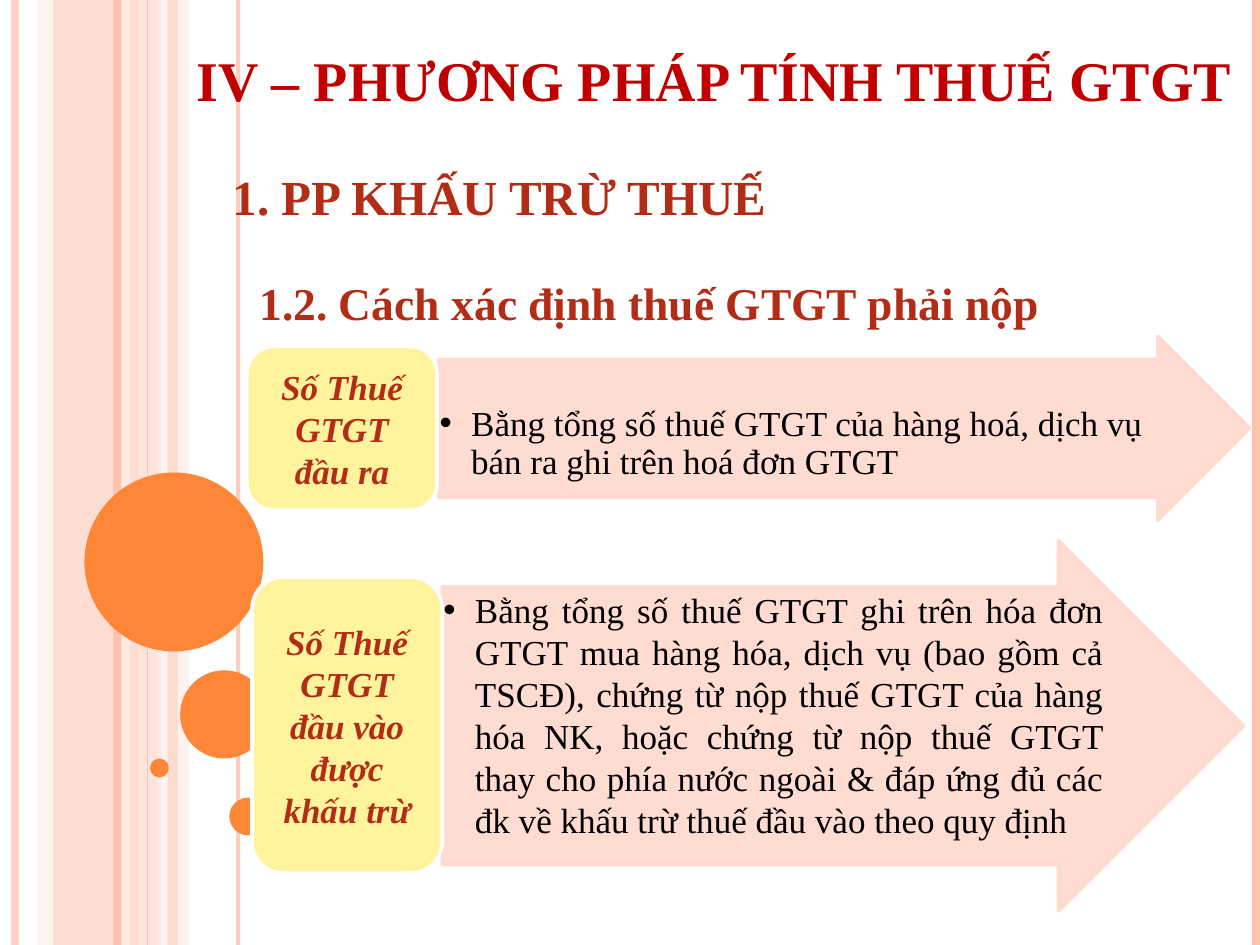
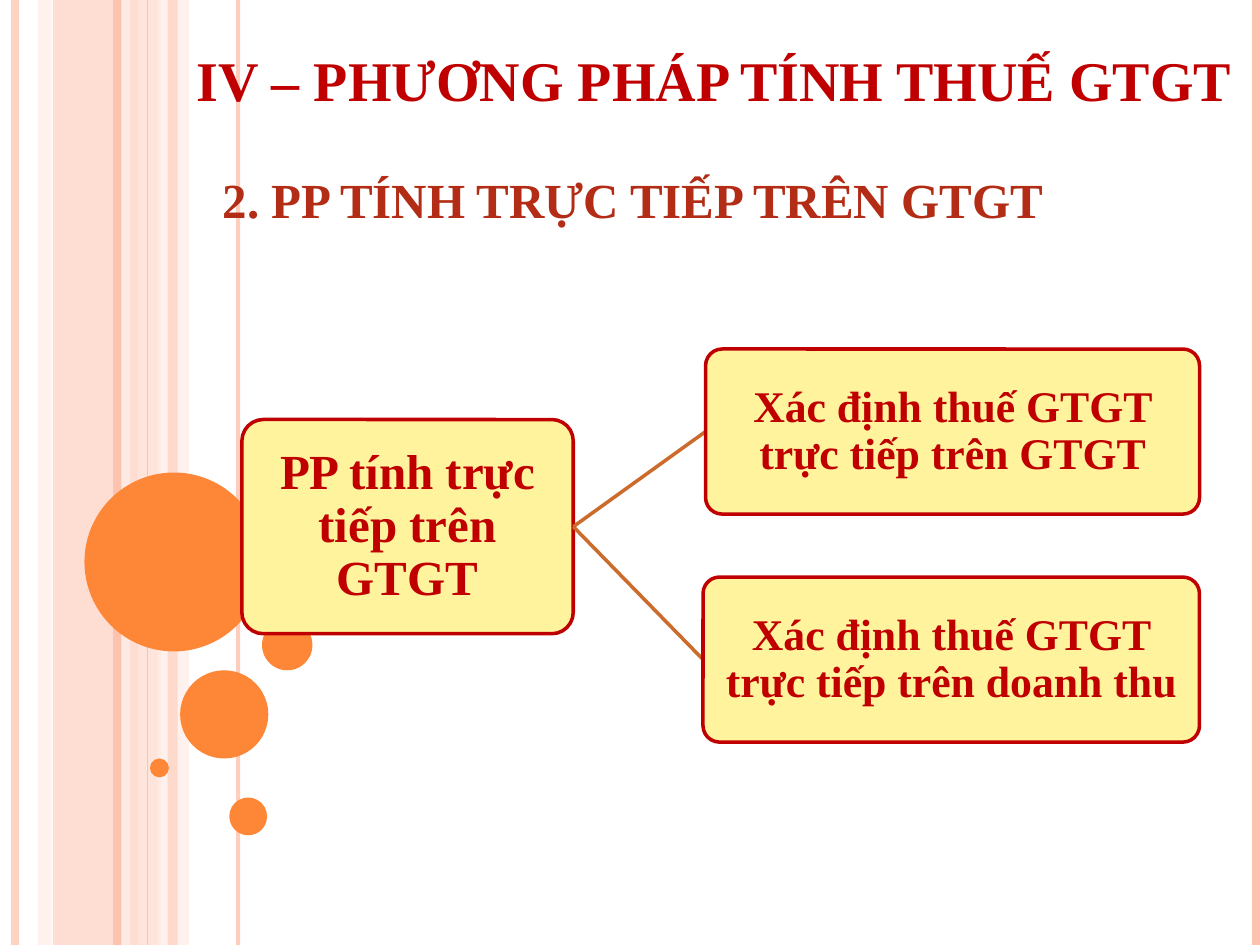
from lxml import etree
from pptx import Presentation
from pptx import util as u
from pptx.dml.color import RGBColor
from pptx.enum import shapes, text
from pptx.oxml.ns import qn

# Shared colours and font
WHITE = RGBColor(0xFF, 0xFF, 0xFF)
BLACK = RGBColor(0, 0, 0)
PEACH = RGBColor(0xFE, 0xC3, 0xAE)
PINK = RGBColor(0xFF, 0xD9, 0xCE)
PALE = RGBColor(0xFF, 0xED, 0xE8)
ORANGE = RGBColor(0xFE, 0x86, 0x37)
YELLOW = RGBColor(0xFF, 0xF3, 0x9D)
RED = RGBColor(0xC0, 0, 0)
BRICK = RGBColor(0xB3, 0x2C, 0x16)
COPPER = RGBColor(0xCB, 0x6B, 0x2C)
FONT = "Times New Roman"
WIDE, HIGH = 10, 7.5

KIND = shapes.MSO_SHAPE
ALIGN = text.PP_ALIGN
ANCHOR = text.MSO_ANCHOR

# Vertical bands: left, width, colour, opacity
BANDS = [(0.42, 0.67, PEACH, 54), (0.3, 0.11, PINK, 36), (1.08, 0.2, PINK, 70),
         (1.25, 0.25, PALE, 71), (1.33, 0.08, PEACH, 51)]
# Vertical rules: x, points, colour, opacity
RULES = [(0.12, 4.5, PEACH, 73), (1, 4.5, PALE, 83), (0.93, 4.5, PEACH, 100),
         (1.89, 2.25, PEACH, 82), (1.17, 0.75, PEACH, 100), (9.97, 4.5, PEACH, 100)]
# Bubbles: left, top, diameter
BUBBLES = [(0.67, 3.75, 1.42), (1.43, 5.32, 0.7), (1.19, 6.02, 0.15), (1.82, 6.33, 0.3)]


def fade(item, alpha):
    """Set the opacity, in percent, of every colour of a shape or line."""
    if alpha < 100:
        for tint in item._element.spPr.iter(qn("a:srgbClr")):
            etree.SubElement(tint, qn("a:alpha")).set("val", str(alpha * 1000))


def shape(slide, kind, box, fill, line=None, alpha=100, adj=None):
    item = slide.shapes.add_shape(kind, *map(u.Inches, box))
    item.shadow.inherit = False
    item.fill.solid()
    item.fill.fore_color.rgb = fill
    if line is None:
        item.line.fill.background()
    else:
        item.line.color.rgb = line
        item.line.width = u.Pt(2)
    if adj is not None:
        item.adjustments[0] = adj
    fade(item, alpha)
    return item


def rule(slide, start, end, color, width, alpha=100):
    item = slide.shapes.add_connector(
        shapes.MSO_CONNECTOR.STRAIGHT, *map(u.Inches, (*start, *end)))
    item.line.color.rgb = color
    item.line.width = u.Pt(width)
    etree.SubElement(item._element.spPr, qn("a:effectLst"))
    fade(item, alpha)


def write(item, words, size, color, align=ALIGN.CENTER, anchor=ANCHOR.MIDDLE,
          pads=(0.1, 0.05, 0.1, 0.05), bold=True, italic=False, lead=1.0):
    frame = item.text_frame
    frame.word_wrap = True
    frame.vertical_anchor = anchor
    (frame.margin_left, frame.margin_top,
     frame.margin_right, frame.margin_bottom) = map(u.Inches, pads)
    para = frame.paragraphs[0]
    para.text = words
    para.alignment = align
    para.line_spacing = lead
    font = para.font
    font.name, font.size, font.color.rgb = FONT, u.Pt(size), color
    font.bold, font.italic = bold, italic
    return para


def head(slide, box, words, size, color=BRICK, align=ALIGN.LEFT):
    item = slide.shapes.add_textbox(*map(u.Inches, box))
    write(item, words, size, color, align, ANCHOR.TOP)


def bullet(para):
    props = para._p.get_or_add_pPr()
    props.set("marL", str(u.Inches(0.25)))
    props.set("indent", str(-u.Inches(0.25)))
    etree.SubElement(props, qn("a:buFont")).set("typeface", "Arial")
    etree.SubElement(props, qn("a:buChar")).set("char", "•")


def arrow(slide, box, words, align, lead, top):
    item = shape(slide, KIND.RIGHT_ARROW, box, PINK, PINK, 90, 0.75)
    bullet(write(item, words, 20, BLACK, align, ANCHOR.TOP,
                 (0.01, top, 0.01, 0.01), bold=False, lead=lead))


def label(slide, box, words):
    item = shape(slide, KIND.ROUNDED_RECTANGLE, box, YELLOW, WHITE)
    write(item, words, 20, BRICK, pads=(0.08, 0.04, 0.08, 0.04), italic=True)


def node(slide, box, words, size):
    item = shape(slide, KIND.ROUNDED_RECTANGLE, box, YELLOW, RED, adj=0.1)
    write(item, words, size, RED, pads=(0.02,) * 4, lead=0.9)


def start(deck, bubbles):
    """Add a slide with the bands, rules, bubbles and title."""
    slide = deck.slides.add_slide(deck.slide_layouts[6])
    for left, width, color, alpha in BANDS[:-1]:
        shape(slide, KIND.RECTANGLE, (left, 0, width, HIGH), color, alpha=alpha)
    for x, width, color, alpha in RULES:
        rule(slide, (x, 0), (x, HIGH), color, width, alpha)
    left, width, color, alpha = BANDS[-1]
    shape(slide, KIND.RECTANGLE, (left, 0, width, HIGH), color, alpha=alpha)
    for left, top, size in bubbles:
        shape(slide, KIND.OVAL, (left, top, size, size), ORANGE)
    head(slide, (1.42, 0.31, 8.5, 0.64), "IV – PHƯƠNG PHÁP TÍNH THUẾ GTGT",
         32, RED, ALIGN.CENTER)
    return slide


def credit(deck):
    slide = start(deck, BUBBLES)
    head(slide, (1.75, 1.27, 7.5, 0.57), "1. PP KHẤU TRỪ THUẾ", 28)
    head(slide, (1.96, 2.13, 7.08, 0.54), "1.2. Cách xác định thuế GTGT phải nộp", 26)
    # Output tax
    arrow(slide, (3.48, 2.67, 6.44, 1.46),
          "Bằng tổng số thuế GTGT của hàng hoá, dịch vụ bán ra ghi trên hoá đơn GTGT",
          ALIGN.LEFT, 0.9, 0.37)
    label(slide, (1.96, 2.75, 1.51, 1.3), "Số Thuế GTGT đầu ra")
    # Deductible input tax
    arrow(slide, (3.51, 4.29, 6.36, 2.94),
          "Bằng tổng số thuế GTGT ghi trên hóa đơn GTGT mua hàng hóa, dịch vụ "
          "(bao gồm cả TSCĐ), chứng từ nộp thuế GTGT của hàng hóa NK, hoặc chứng từ "
          "nộp thuế GTGT thay cho phía nước ngoài & đáp ứng đủ các đk về khấu trừ "
          "thuế đầu vào theo quy định",
          ALIGN.JUSTIFY, 1.0, 0.01)
    label(slide, (2, 4.58, 1.51, 2.35), "Số Thuế GTGT đầu vào được khấu trừ")


def direct(deck):
    slide = start(deck, BUBBLES + [(2.08, 4.92, 0.4)])
    head(slide, (1.67, 1.3, 7.5, 0.57), "2. PP TÍNH TRỰC TIẾP TRÊN GTGT", 28)
    # Tree: one root, two branches
    root = (1.92, 3.33, 2.63, 1.7)
    node(slide, root, "PP tính trực tiếp trên GTGT", 28)
    fork = (root[0] + root[2], root[1] + root[3] / 2)
    for box, words in [
            ((5.6, 2.77, 3.92, 1.31), "Xác định thuế GTGT trực tiếp trên GTGT"),
            ((5.58, 4.58, 3.94, 1.31), "Xác định thuế GTGT trực tiếp trên doanh thu")]:
        rule(slide, fork, (box[0], box[1] + box[3] / 2), COPPER, 2)
        node(slide, box, words, 25)


def main():
    deck = Presentation()
    deck.slide_width, deck.slide_height = u.Inches(WIDE), u.Inches(HIGH)
    credit(deck)
    direct(deck)
    deck.save("out.pptx")


main()
